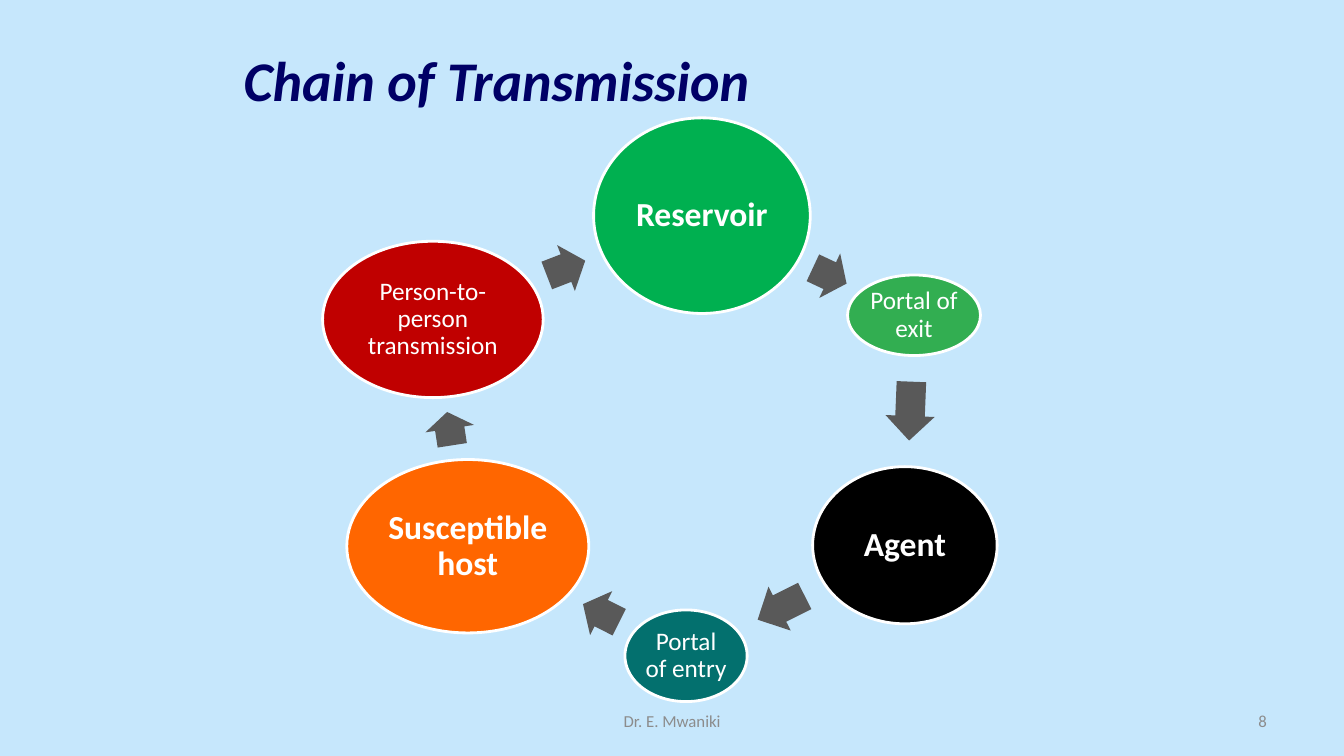
import math

from pptx import Presentation
from pptx.dml.color import RGBColor
from pptx.enum.shapes import MSO_SHAPE
from pptx.enum.text import MSO_ANCHOR, PP_ALIGN
from pptx.util import Cm, Pt

OVAL, ARROW = MSO_SHAPE.OVAL, MSO_SHAPE.RIGHT_ARROW
MIDDLE = MSO_ANCHOR.MIDDLE
LEFT, CENTER, RIGHT = PP_ALIGN.LEFT, PP_ALIGN.CENTER, PP_ALIGN.RIGHT

SKY = RGBColor(0xC6, 0xE7, 0xFC)
NAVY = RGBColor(0x00, 0x00, 0x66)
GRAY = RGBColor(0x8C, 0x8C, 0x8C)
DARK_GRAY = RGBColor(0x59, 0x59, 0x59)
WHITE = RGBColor(0xFF, 0xFF, 0xFF)
GREEN = RGBColor(0x00, 0xB0, 0x50)
LIGHT_GREEN = RGBColor(0x32, 0xAE, 0x51)
BLACK = RGBColor(0x00, 0x00, 0x00)
TEAL = RGBColor(0x03, 0x70, 0x6E)
ORANGE = RGBColor(0xFF, 0x66, 0x00)
RED = RGBColor(0xC0, 0x00, 0x00)

MAIN = {"size": Pt(24), "bold": True, "color": WHITE}
MINOR = {"size": Pt(18), "color": WHITE}
TITLE = {"size": Pt(40), "bold": True, "italic": True, "color": NAVY}
FOOTER = {"size": Pt(12), "color": GRAY}

# Links of the chain, clockwise: wording, (left, top, width, height) in cm, fill, format
LINKS = [
    ("Reservoir", (14.96, 2.97, 5.46, 4.93), GREEN, MAIN),
    ("Portal of exit", (21.36, 6.93, 3.35, 2.03), LIGHT_GREEN, MINOR),
    ("Agent", (20.48, 11.76, 4.65, 3.96), BLACK, MAIN),
    ("Portal of entry", (15.75, 15.37, 3.08, 2.31), TEAL, MINOR),
    ("Susceptible host", (8.74, 11.58, 6.1, 4.37), ORANGE, MAIN),
    ("Person-to-person transmission", (8.13, 6.08, 5.56, 3.94), RED, MINOR),
]
CAPTIONS = [
    ("Chain of Transmission", (5.89, 0.93, 20.85, 2.11), LEFT, TITLE),
    ("Dr. E. Mwaniki", (11.58, 17.65, 10.72, 1.02), CENTER, FOOTER),
    ("8", (24.28, 17.65, 7.9, 1.02), RIGHT, FOOTER),
]
ARROW_WIDTH = 1.24
ARROW_SHARE = 0.53  # part of the gap between two ovals that an arrow fills
OVAL_INSET = Cm(0.02)


def write(shape, text, align, text_format):
    frame = shape.text_frame
    frame.word_wrap = True
    frame.vertical_anchor = MIDDLE
    paragraph = frame.paragraphs[0]
    paragraph.alignment = align
    run = paragraph.add_run()
    run.text = text
    run.font.name = "Calibri"
    for key, value in text_format.items():
        if key == "color":
            run.font.color.rgb = value
        else:
            setattr(run.font, key, value)


def add_filled(slide, kind, box, fill):
    shape = slide.shapes.add_shape(kind, *map(Cm, box))
    shape.shadow.inherit = False
    shape.fill.solid()
    shape.fill.fore_color.rgb = fill
    return shape


def add_link(slide, text, box, fill, text_format):
    oval = add_filled(slide, OVAL, box, fill)
    oval.line.color.rgb = WHITE
    oval.line.width = Pt(2)
    write(oval, text, CENTER, text_format)
    frame = oval.text_frame
    for side in ("left", "top", "right", "bottom"):
        setattr(frame, f"margin_{side}", OVAL_INSET)
    frame.paragraphs[0].line_spacing = 0.9


def center(box):
    left, top, width, height = box
    return left + width / 2, top + height / 2


def reach(box, angle):
    """Distance from an oval's center to its edge in the given direction."""
    return 1 / math.hypot(2 * math.cos(angle) / box[2], 2 * math.sin(angle) / box[3])


def add_arrow(slide, start, end):
    """Center an arrow in the gap between two ovals, pointing at the second."""
    (x1, y1), (x2, y2) = center(start), center(end)
    angle = math.atan2(y2 - y1, x2 - x1)
    near = reach(start, angle)
    gap = math.hypot(x2 - x1, y2 - y1) - near - reach(end, angle)
    middle = near + gap / 2
    length = gap * ARROW_SHARE
    left = x1 + middle * math.cos(angle) - length / 2
    top = y1 + middle * math.sin(angle) - ARROW_WIDTH / 2
    arrow = add_filled(slide, ARROW, (left, top, length, ARROW_WIDTH), DARK_GRAY)
    arrow.line.fill.background()
    arrow.adjustments[0], arrow.adjustments[1] = 0.6, 0.5
    arrow.rotation = math.degrees(angle) % 360


def main():
    prs = Presentation()
    prs.slide_width, prs.slide_height = Cm(33.87), Cm(19.05)
    slide = prs.slides.add_slide(prs.slide_layouts[6])
    slide.background.fill.solid()
    slide.background.fill.fore_color.rgb = SKY

    for i, link in enumerate(LINKS):
        add_link(slide, *link)
        following = LINKS[(i + 1) % len(LINKS)]
        add_arrow(slide, link[1], following[1])
    for text, box, align, text_format in CAPTIONS:
        caption = slide.shapes.add_textbox(*map(Cm, box))
        write(caption, text, align, text_format)
    prs.save("out.pptx")


if __name__ == "__main__":
    main()
